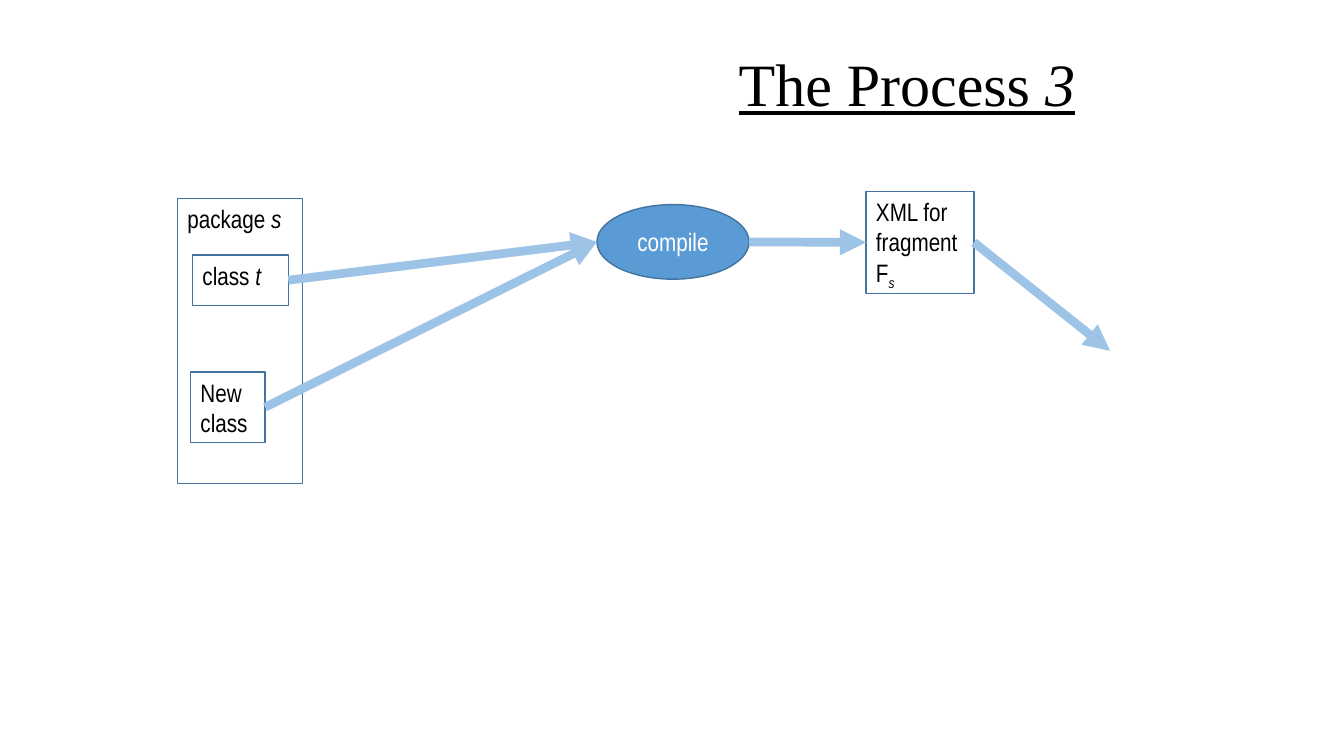
"""Build the slide on the third step of the compile process."""
from pptx import Presentation, util as u
from pptx.dml.color import RGBColor
from pptx.enum import shapes, text
from pptx.oxml.ns import qn
from lxml import etree

WIDE, HIGH = 13.33, 7.5
RECT, OVAL = shapes.MSO_SHAPE.RECTANGLE, shapes.MSO_SHAPE.OVAL
TOP, MID = text.MSO_ANCHOR.TOP, text.MSO_ANCHOR.MIDDLE
LEFT, MIDST = text.PP_ALIGN.LEFT, text.PP_ALIGN.CENTER
EDGE, ARROW, BLUE = "43739E", "9DC3E6", "5B9BD5"
BLACK, WHITE = "000000", "FFFFFF"

ITAL, SUB = {"italic": True}, {"italic": True, "base": -25000}
TITLE = [[("The Process ", {}), ("3", ITAL)]]
SPOT = (6, 0.52, 5.99, 0.73)
NODES = {
    "package": (RECT, (1.76, 1.97, 1.24, 2.83), [[("package ", {}), ("s", ITAL)]]),
    "class": (RECT, (1.91, 2.53, 0.95, 0.5), [[("class ", {}), ("t", ITAL)]]),
    "new": (RECT, (1.89, 3.69, 0.74, 0.7), [[("New class", {})]]),
    "compile": (OVAL, (5.92, 2.03, 1.51, 0.74), [[("compile", {})]]),
    "xml": (RECT, (8.59, 1.9, 1.07, 1.01),
            [[("XML for", {})], [("fragment F", {}), ("s", SUB)]]),
}
END = (11.01, 3.48)


def tint(code):
    return RGBColor.from_string(code)


def style(thing, form):
    for name, val in form.items():
        setattr(thing, name, val)


def write(frame, paras, font, ink, align, anchor):
    style(frame, {"word_wrap": True, "vertical_anchor": anchor,
                  "auto_size": text.MSO_AUTO_SIZE.NONE})
    for i, parts in enumerate(paras):
        para = frame.add_paragraph() if i else frame.paragraphs[0]
        para.alignment = align
        for words, extra in parts:
            run = para.add_run()
            run.text = words
            form = {**font, **extra}
            base = form.pop("base", None)
            style(run.font, form)
            run.font.color.rgb = tint(ink)
            if base:
                run.font._element.set("baseline", str(base))


def node(kind, box, paras):
    item = slide.shapes.add_shape(kind, *map(u.Inches, box))
    item.shadow.inherit = False
    item.line.color.rgb, item.line.width = tint(EDGE), u.Pt(1)
    oval = kind == OVAL
    if oval:
        item.fill.solid()
        item.fill.fore_color.rgb = tint(BLUE)
    else:
        item.fill.background()
    look = (WHITE, MIDST, MID) if oval else (BLACK, LEFT, TOP)
    write(item.text_frame, paras, {"name": "Arial Narrow", "size": u.Pt(18)}, *look)


def side(name, right):
    x, y, w, h = NODES[name][1]
    return x + w * right, y + h / 2


def arrow(start, stop):
    item = slide.shapes.add_connector(
        shapes.MSO_CONNECTOR.STRAIGHT, *map(u.Inches, start + stop))
    item.line.color.rgb, item.line.width = tint(ARROW), u.Pt(6.25)
    etree.SubElement(item.line._get_or_add_ln(), qn("a:tailEnd"), type="triangle")
    etree.SubElement(item._element.spPr, qn("a:effectLst"))


deck = Presentation()
style(deck, {"slide_width": u.Inches(WIDE), "slide_height": u.Inches(HIGH)})
slide = deck.slides.add_slide(deck.slide_layouts[5])
head = slide.shapes.title
style(head, dict(zip(("left", "top", "width", "height"), map(u.Inches, SPOT))))
write(head.text_frame, TITLE,
      {"name": "Times New Roman", "size": u.Pt(42.9), "underline": True},
      BLACK, MIDST, MID)
head.text_frame.paragraphs[0].line_spacing = 0.8

for spec in NODES.values():
    node(*spec)
for name in ("class", "new"):
    arrow(side(name, 1), side("compile", 0))
arrow(side("compile", 1), side("xml", 0))
arrow(side("xml", 1), END)

deck.save("out.pptx")
